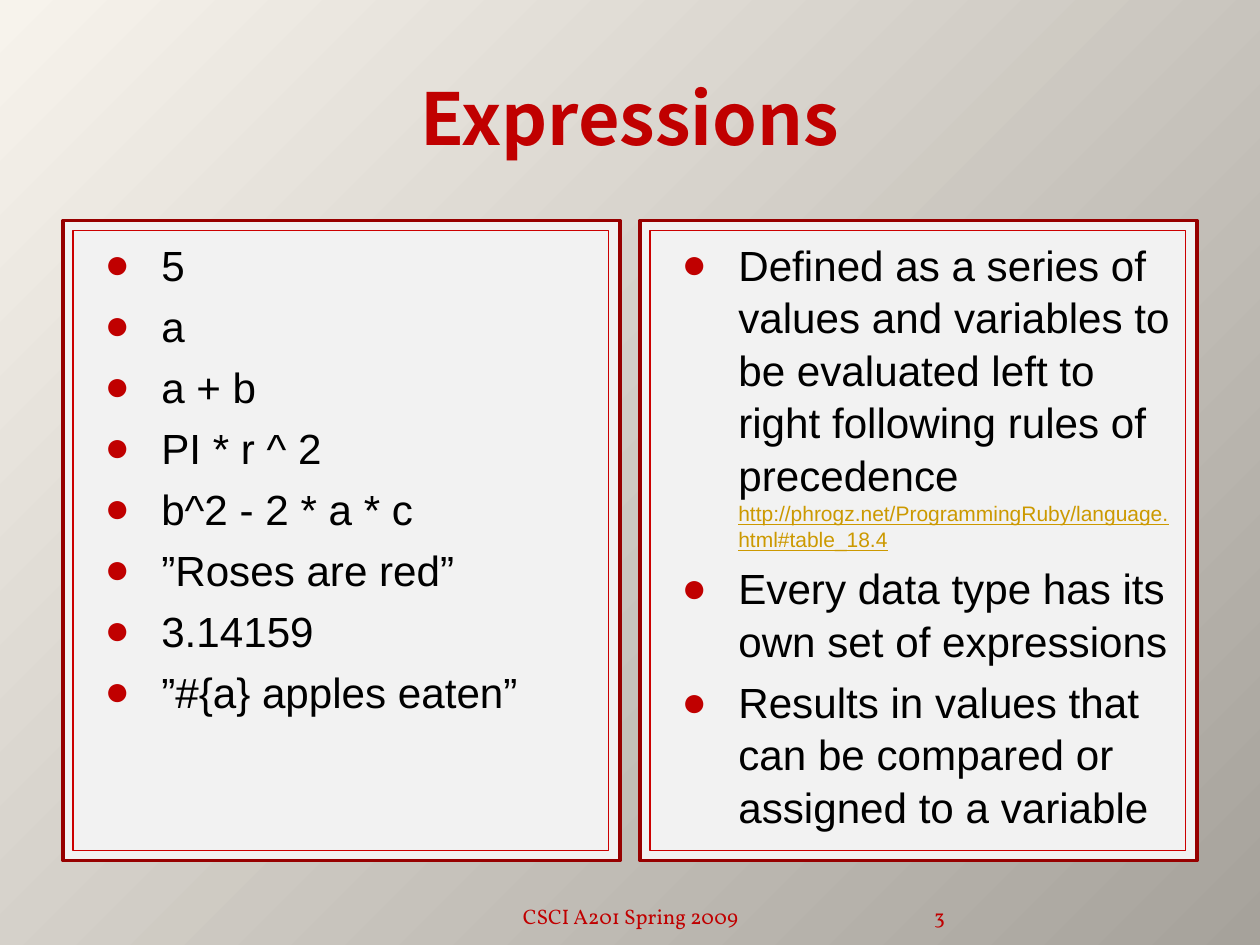
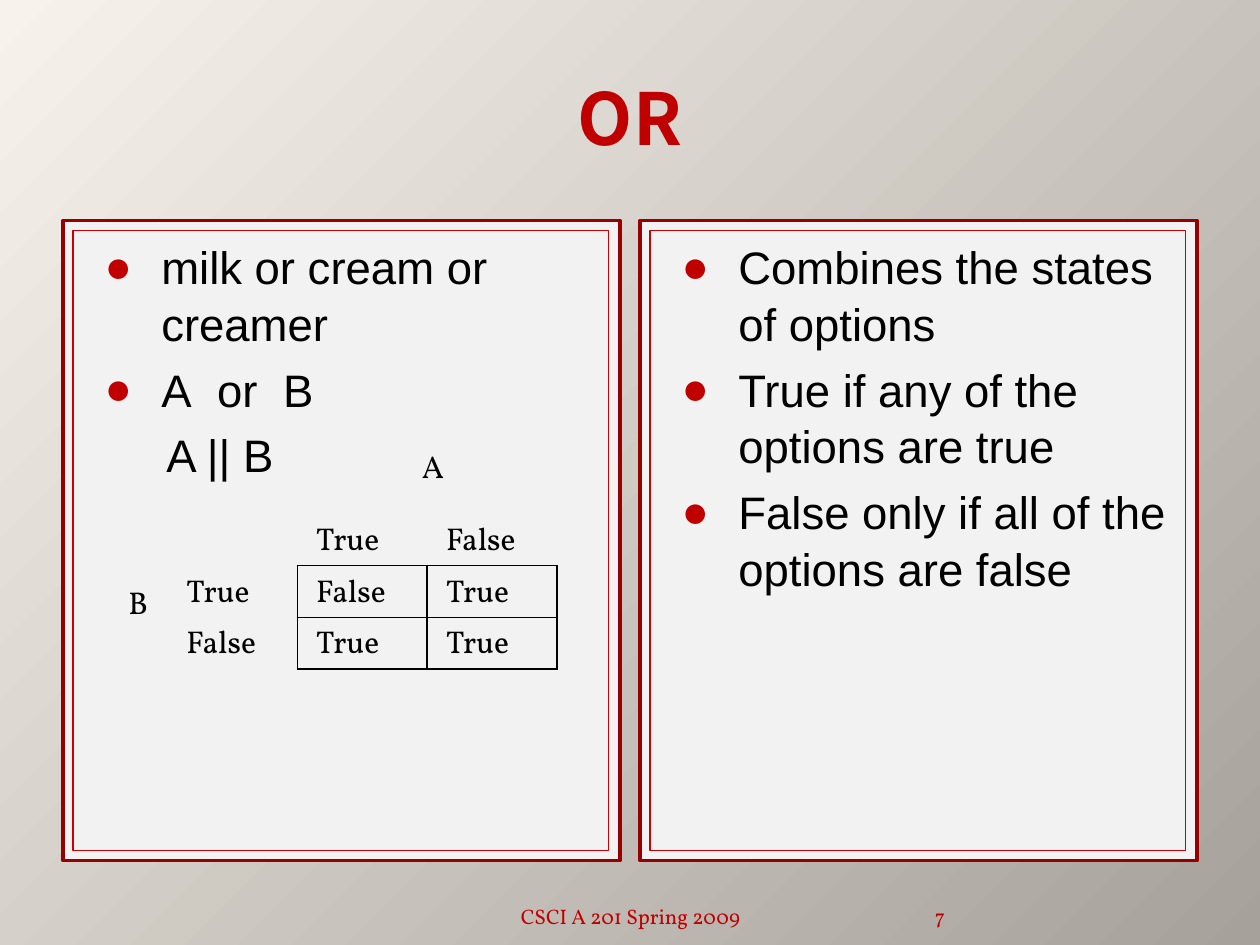
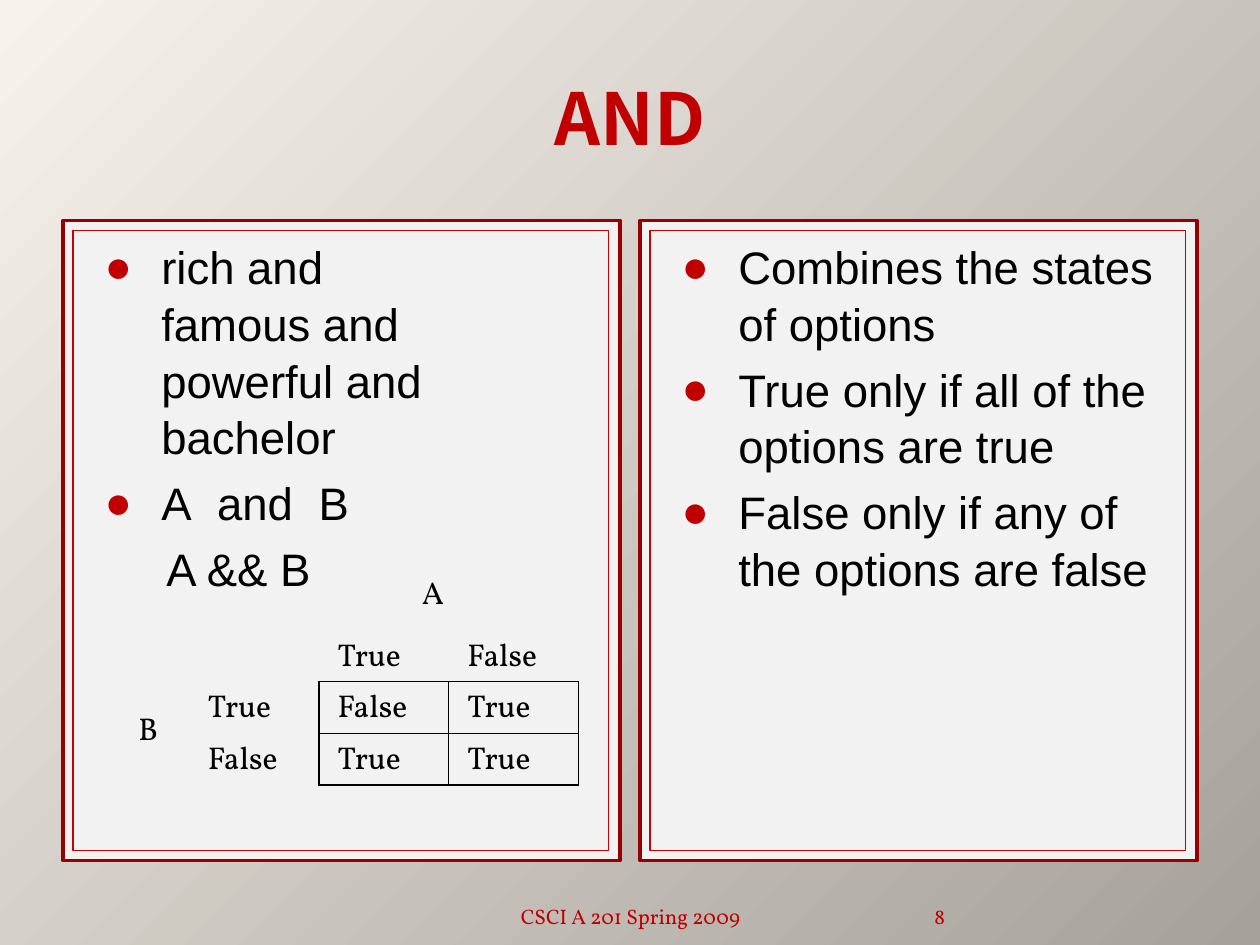
from dataclasses import dataclass

from lxml.etree import SubElement
from pptx import Presentation
from pptx.dml.color import RGBColor
from pptx.enum.shapes import MSO_SHAPE
from pptx.enum.text import MSO_ANCHOR, MSO_AUTO_SIZE, PP_ALIGN
from pptx.oxml import parse_xml
from pptx.oxml.ns import nsdecls, qn
from pptx.util import Inches, Pt


@dataclass(frozen=True)
class Theme:
    back_light: str = "F7F3EC"
    back_dark: str = "A6A29B"
    panel: str = "F2F2F2"
    frame: str = "970000"
    inner_frame: str = "CC0000"
    accent: str = "C00000"
    link: str = "CC9900"
    ink: str = "000000"
    title_font: str = "Noto Sans CJK SC"
    body_font: str = "Arial"
    small_font: str = "Vollkorn"
    title_size: float = 41
    body_size: float = 26
    dense_size: float = 24.1
    table_size: float = 18
    small_size: float = 12


@dataclass(frozen=True)
class Link:
    text: str


@dataclass(frozen=True)
class Plain:
    text: str


GAP = object()
BREAK = object()
COLUMNS = (0.5, 5.08)
TRUTH = (("", "True", "False"),
         ("True", "False", "True"),
         ("False", "True", "True"))


def rgb(value):
    return RGBColor.from_string(value)


class Deck:
    def __init__(self, theme):
        self.theme = theme
        self.prs = Presentation()
        self.prs.slide_width, self.prs.slide_height = Inches(10), Inches(7.5)
        fill = self.prs.slide_master.background.fill
        fill.gradient()
        fill.gradient_angle = 315
        for stop, color, at in zip(fill.gradient_stops, (theme.back_light, theme.back_dark), (0, 1)):
            stop.color.rgb = rgb(color)
            stop.position = at
        self.s = None

    def place(self, sp, left, top, width, height):
        sp.left, sp.top = Inches(left), Inches(top)
        sp.width, sp.height = Inches(width), Inches(height)

    def paint(self, sp, line, width):
        sp.fill.solid()
        sp.fill.fore_color.rgb = rgb(self.theme.panel)
        sp.line.color.rgb = rgb(line)
        sp.line.width = Pt(width)

    def run(self, p, text, font, size, color, bold=None, underline=None):
        r = p.add_run()
        r.text = text
        r.font.name, r.font.size = font, Pt(size)
        r.font.color.rgb = rgb(color)
        r.font.bold, r.font.underline = bold, underline
        return r

    def slide(self, title, footer, number):
        t = self.theme
        self.s = self.prs.slides.add_slide(self.prs.slide_layouts[3])
        sp = self.s.shapes.title
        for left in COLUMNS:
            self.panel(left)
        self.place(sp, 0.5, 0.3, 9, 1.25)
        tf = sp.text_frame
        tf.auto_size, tf.vertical_anchor = MSO_AUTO_SIZE.NONE, MSO_ANCHOR.MIDDLE
        p = tf.paragraphs[0]
        p.alignment = PP_ALIGN.CENTER
        self.run(p, title, t.title_font, t.title_size, t.accent, bold=True)
        self.footer(footer, 3.42, 3.17, PP_ALIGN.CENTER)
        self.footer(number, 6.67, 0.83, PP_ALIGN.RIGHT, inset=0)

    def panel(self, left):
        sp = self.s.shapes.add_shape(MSO_SHAPE.RECTANGLE, Inches(left), Inches(1.75),
                                     Inches(4.42), Inches(5.08))
        sp.shadow.inherit = False
        self.paint(sp, self.theme.frame, 2)
        self.s.shapes.title.element.addprevious(sp.element)

    def text(self, text, left, top, width, size, color, wrap=True):
        sp = self.s.shapes.add_textbox(Inches(left), Inches(top), Inches(width), Inches(0.4))
        tf = sp.text_frame
        tf.word_wrap = wrap
        self.run(tf.paragraphs[0], text, self.theme.small_font, size, color)
        return tf

    def footer(self, text, left, width, align, inset=0.1):
        tf = self.text(text, left, 7.02, width, self.theme.small_size, self.theme.accent)
        tf.vertical_anchor = MSO_ANCHOR.BOTTOM
        tf.margin_left = tf.margin_right = Inches(inset)
        tf.paragraphs[0].alignment = align

    def indent(self, p, bullet):
        pPr = p._p.get_or_add_pPr()
        pPr.set("marL", str(Inches(0.6 if bullet else 0.64)))
        pPr.set("indent", str(Inches(-0.45 if bullet else 0)))
        if bullet:
            color = SubElement(pPr, qn("a:buClr"))
            SubElement(color, qn("a:srgbClr")).set("val", self.theme.accent)
            SubElement(pPr, qn("a:buChar")).set("char", "●")
        else:
            SubElement(pPr, qn("a:buNone"))

    def body(self, column, items, size):
        t = self.theme
        sp = self.s.placeholders[column + 1]
        self.place(sp, COLUMNS[column] + 0.08, 1.83, 4.25, 4.92)
        self.paint(sp, t.inner_frame, 0.75)
        tf = sp.text_frame
        tf.auto_size = MSO_AUTO_SIZE.NONE
        for i, item in enumerate(items):
            p = tf.add_paragraph() if i else tf.paragraphs[0]
            self.indent(p, not isinstance(item, Plain))
            p.line_spacing = 1.04
            p.space_before = Pt(size * 0.2 if i else 0)
            text = item.text if isinstance(item, Plain) else item
            for part in text if isinstance(text, tuple) else (text,):
                if part is BREAK:
                    p.add_line_break()
                elif part is GAP:
                    r = self.run(p, " ", t.body_font, size, t.ink)
                    r.font._element.set("spc", str(round(size * 28)))
                elif isinstance(part, Link):
                    self.run(p, part.text, t.body_font, t.small_size, t.link, underline=True)
                else:
                    self.run(p, part, t.body_font, size, t.ink)

    def label(self, text, left, top, width):
        self.text(text, left, top, width, self.theme.table_size, self.theme.ink, wrap=False)

    def borders(self, cell, **sides):
        tcPr = cell._tc.get_or_add_tcPr()
        for i, (side, shown) in enumerate(sides.items()):
            fill = (f'<a:solidFill><a:srgbClr val="{self.theme.ink}"/></a:solidFill>'
                    if shown else "<a:noFill/>")
            tcPr.insert(i, parse_xml(f'<a:ln{side} {nsdecls("a")} w="{Pt(1)}">{fill}</a:ln{side}>'))

    def truth_table(self, rows, left, top):
        t = self.theme
        table = self.s.shapes.add_table(len(rows), len(rows[0]), Inches(left), Inches(top),
                                        Inches(3.09), Inches(1.23)).table
        table.first_row = table.horz_banding = False
        for y, row in enumerate(rows):
            for x, value in enumerate(row):
                cell = table.cell(y, x)
                cell.margin_left = cell.margin_right = Inches(0.15)
                cell.fill.background()
                inner = x > 0 and y > 0
                self.borders(cell, L=inner, R=y > 0, T=inner, B=x > 0)
                if value:
                    self.run(cell.text_frame.paragraphs[0], value, t.small_font, t.table_size, t.ink)


def main():
    theme = Theme()
    deck = Deck(theme)

    deck.slide("Expressions", "CSCI A201 Spring 2009", "3")
    deck.body(0, ["5", "a", "a + b", "PI * r ^ 2", "b^2 - 2 * a * c", "”Roses are red”",
                  "3.14159", "”#{a} apples eaten”"], theme.dense_size)
    deck.body(1, [("Defined as a series of values and variables to be evaluated left to right "
                   "following rules of precedence ",
                   Link("http://phrogz.net/ProgrammingRuby/language.html#table_18.4")),
                  "Every data type has its own set of expressions",
                  "Results in values that can be compared or assigned to a variable"],
              theme.dense_size)

    operators = (
        ("OR", "7", ["milk or cream or creamer", ("A", GAP, "or", GAP, "B"), Plain("A || B")],
         "True if any of the options are true", "False only if all of the options are false",
         (3.25, 3.5), (0.92, 4.58), (1.33, 4.08)),
        ("AND", "8", [("rich and", BREAK, "famous and", BREAK, "powerful and bachelor"),
                      ("A", GAP, "and", GAP, "B"), Plain("A && B")],
         "True only if all of the options are true", "False only if any of the options are false",
         (3.25, 4.5), (1, 5.58), (1.5, 5)),
    )
    for title, number, examples, when_true, when_false, a_at, b_at, table_at in operators:
        deck.slide(title, "CSCI A 201 Spring 2009", number)
        deck.body(0, examples, theme.body_size)
        deck.body(1, ["Combines the states of options", when_true, when_false], theme.body_size)
        deck.label("A", *a_at, 0.4)
        deck.label("B", *b_at, 0.36)
        deck.truth_table(TRUTH, *table_at)

    deck.prs.save("out.pptx")


if __name__ == "__main__":
    main()
